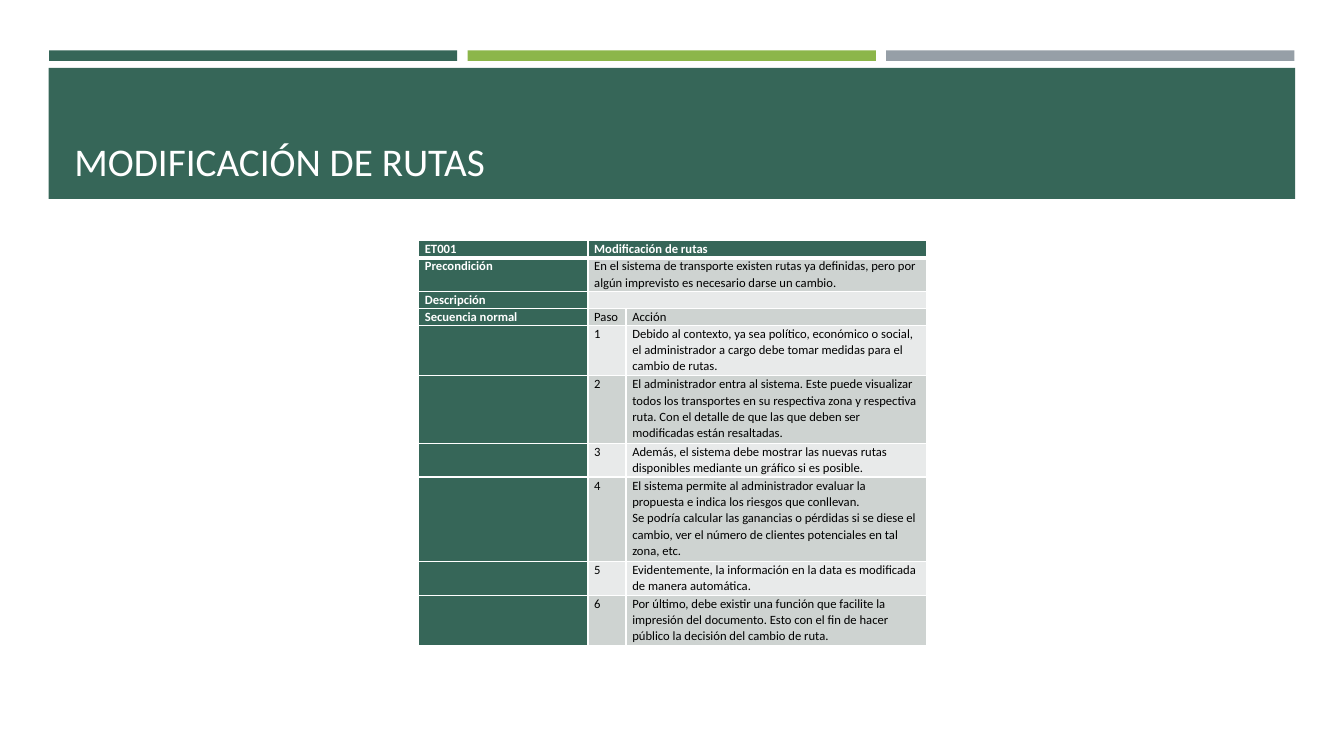
"""Build the route change slide with its banner and use-case table."""
from lxml.etree import SubElement as Sub
from pptx import Presentation
from pptx.dml.color import RGBColor as RGB
from pptx.enum.shapes import MSO_SHAPE as Shape
from pptx.enum.text import MSO_ANCHOR as Anchor, PP_ALIGN as Align
from pptx.oxml.ns import qn
from pptx.util import Pt

GREEN = RGB(0x36, 0x66, 0x58)
LIME = RGB(0x8C, 0xB6, 0x4A)
GREY = RGB(0x96, 0x9F, 0xA7)
DARK = RGB(0xCE, 0xD3, 0xD1)
LIGHT = RGB(0xE8, 0xEA, 0xEA)
WHITE = RGB(0xFF, 0xFF, 0xFF)
BLACK = RGB(0, 0, 0)
FONT = "Calibri"
LINE = 12.06

ROWS = [
    (1, "ET001", "Modificación de rutas", ""),
    (2, "Precondición", "En el sistema de transporte existen rutas ya definidas, "
        "pero por algún imprevisto es necesario darse un cambio.", ""),
    (1, "Descripción", "", ""),
    (1, "Secuencia normal", "Paso", "Acción"),
    (3, "", "1", "Debido al contexto, ya sea político, económico o social, "
        "el administrador a cargo debe tomar medidas para el cambio de rutas."),
    (4, "", "2", "El administrador entra al sistema. Este puede visualizar todos "
        "los transportes en su respectiva zona y respectiva ruta. Con el detalle "
        "de que las que deben ser modificadas están resaltadas."),
    (2, "", "3", "Además, el sistema debe mostrar las nuevas rutas disponibles "
        "mediante un gráfico si es posible."),
    (5, "", "4", "El sistema permite al administrador evaluar la propuesta e "
        "indica los riesgos que conllevan.\nSe podría calcular las ganancias o "
        "pérdidas si se diese el cambio, ver el número de clientes potenciales "
        "en tal zona, etc."),
    (2, "", "5", "Evidentemente, la información en la data es modificada de "
        "manera automática."),
    (3, "", "6", "Por último, debe existir una función que facilite la impresión "
        "del documento. Esto con el fin de hacer público la decisión del cambio "
        "de ruta."),
]


def add_bar(left, top, width, height, color):
    bar = slide.shapes.add_shape(Shape.RECTANGLE, Pt(left), Pt(top), Pt(width), Pt(height))
    bar.shadow.inherit = False
    bar.fill.solid()
    bar.fill.fore_color.rgb = color
    bar.line.fill.background()


def add_edge(cell, side, width):
    edge = Sub(cell._tc.get_or_add_tcPr(), qn("a:ln" + side), w=str(Pt(width)))
    fill = Sub(edge, qn("a:solidFill"))
    Sub(fill, qn("a:srgbClr"), val=str(WHITE))


prs = Presentation()
prs.slide_width, prs.slide_height = Pt(960), Pt(540)
slide = prs.slides.add_slide(prs.slide_layouts[5])

for i, color in enumerate((GREEN, LIME, GREY)):
    add_bar(35 + 299 * i, 36, 291.6, 7.5, color)
add_bar(34.8, 48.5, 890.4, 93.6, GREEN)

title = slide.shapes.title
title.left, title.top, title.width, title.height = Pt(46), Pt(55.4), Pt(868), Pt(80)
slide.shapes._spTree.append(title._element)
frame = title.text_frame
frame.text = "MODIFICACIÓN DE RUTAS"
frame.vertical_anchor = Anchor.BOTTOM
head = frame.paragraphs[0]
head.alignment = Align.LEFT
head.font.name, head.font.size = FONT, Pt(28)
head.font.color.rgb = WHITE

total = LINE * sum(row[0] for row in ROWS)
table = slide.shapes.add_table(len(ROWS), 3, Pt(299), Pt(172), Pt(362.6), Pt(total)).table
table.first_row = table.horz_banding = False
for col, width in zip(table.columns, (121, 27.2, 214.4)):
    col.width = Pt(width)

for r, (count, *texts) in enumerate(ROWS):
    table.rows[r].height = Pt(LINE * count)
    for c, text in enumerate(texts):
        cell = table.cell(r, c)
        strong = r == 0 or c == 0
        cell.margin_left = cell.margin_right = Pt(4.5)
        cell.margin_top = cell.margin_bottom = 0
        for side in "LRTB":
            thick = (r == 0 and side == "B") or (r == 1 and side == "T")
            add_edge(cell, side, 3 if thick else 1)
        cell.fill.solid()
        cell.fill.fore_color.rgb = GREEN if strong else DARK if r % 2 else LIGHT
        cell.text = text
        for para in cell.text_frame.paragraphs:
            para.line_spacing = 1.07
            para.font.name, para.font.size = FONT, Pt(9)
            para.font.bold = strong
            para.font.color.rgb = WHITE if strong else BLACK
            if not text:
                Sub(para._p, qn("a:endParaRPr"), sz="900")
    if r < 3:
        table.cell(r, 1).merge(table.cell(r, 2))

prs.save("out.pptx")
